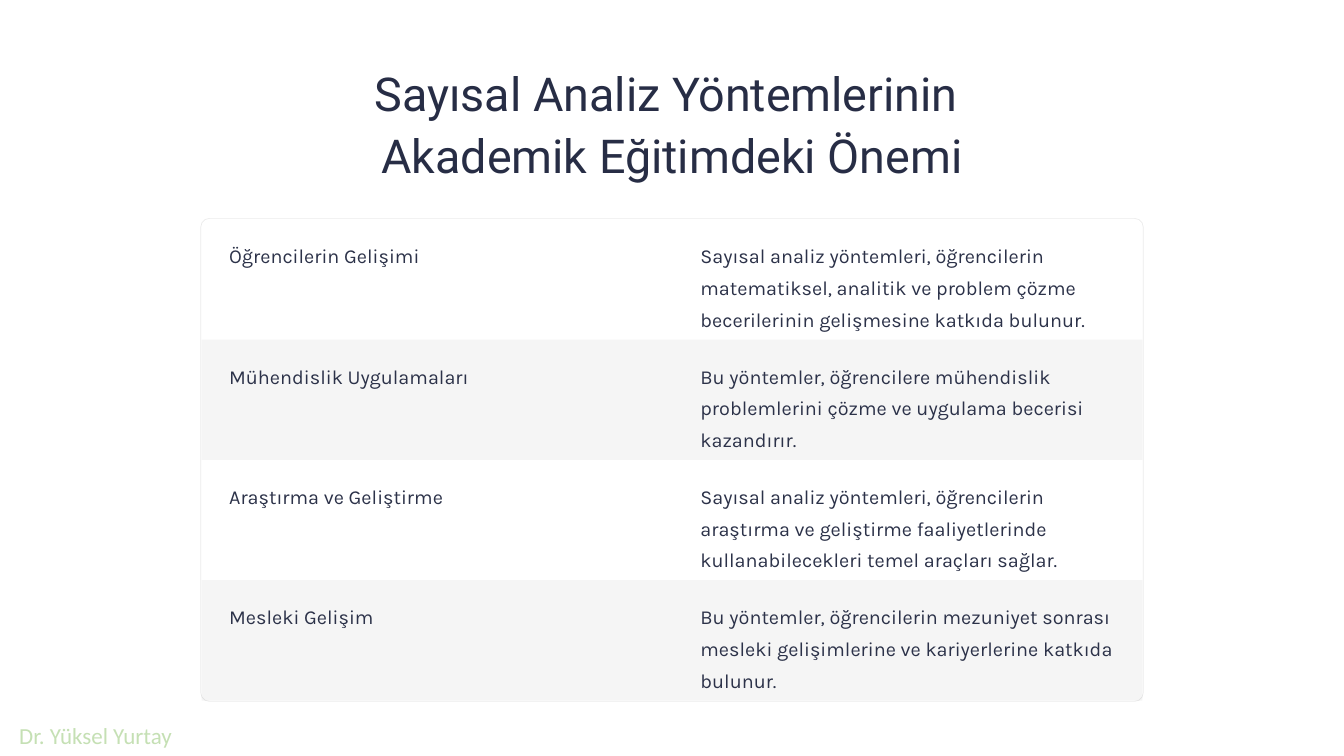
import pptx
import pptx.util
import pptx.dml.color
import pptx.enum.shapes
import pptx.enum.text
import pptx.oxml.ns
import lxml.etree

Inches = pptx.util.Inches
Pt = pptx.util.Pt
shapes = pptx.enum.shapes.MSO_SHAPE
align = pptx.enum.text.PP_ALIGN

deck = pptx.Presentation()
deck.slide_width, deck.slide_height = Inches(16), Inches(9)
page = deck.slides.add_slide(deck.slide_layouts[6])


def paint(color_format, color, opacity=100):
    color_format.rgb = pptx.dml.color.RGBColor.from_string(color)
    if opacity < 100:
        for node in color_format._xFill.iter(pptx.oxml.ns.qn("a:srgbClr")):
            alpha = lxml.etree.SubElement(node, pptx.oxml.ns.qn("a:alpha"))
            alpha.set("val", str(opacity * 1000))


def write(text, left, top, width, height, size=17, font="Karla",
          color="2C3249", spacing=27.2, alignment=align.LEFT):
    box = page.shapes.add_textbox(Inches(left), Inches(top), Inches(width), Inches(height))
    box.text_frame.word_wrap = True
    box.text_frame.text = text
    for para in box.text_frame.paragraphs:
        para.alignment = alignment
        para.line_spacing = Pt(spacing)
        for span in para.runs:
            span.font.name = font
            span.font.size = Pt(size)
            paint(span.font.color, color)


backdrop = page.shapes.add_shape(shapes.RECTANGLE, 0, 0, deck.slide_width, deck.slide_height)
backdrop.shadow.inherit = False
backdrop.fill.solid()
paint(backdrop.fill.fore_color, "FFFFFF")
backdrop.line.fill.background()

write("Sayısal Analiz Yöntemlerinin \nAkademik Eğitimdeki Önemi", 2.39, 0.65, 11.22, 1.48,
      size=40, font="Roboto", color="272D45", spacing=53.1, alignment=align.CENTER)

frame = page.shapes.add_shape(shapes.ROUNDED_RECTANGLE,
                              Inches(2.39), Inches(2.6), Inches(11.22), Inches(5.75))
frame.adjustments[0] = 0.018
frame.shadow.inherit = False
frame.fill.background()
frame.line.width = Pt(0.6)
frame.line.fill.solid()
paint(frame.line.fill.fore_color, "000000", 8)

topics = [
    ("Öğrencilerin Gelişimi",
     "Sayısal analiz yöntemleri, öğrencilerin matematiksel, analitik ve problem çözme "
     "becerilerinin gelişmesine katkıda bulunur."),
    ("Mühendislik Uygulamaları",
     "Bu yöntemler, öğrencilere mühendislik problemlerini çözme ve uygulama becerisi "
     "kazandırır."),
    ("Araştırma ve Geliştirme",
     "Sayısal analiz yöntemleri, öğrencilerin araştırma ve geliştirme faaliyetlerinde "
     "kullanabilecekleri temel araçları sağlar."),
    ("Mesleki Gelişim",
     "Bu yöntemler, öğrencilerin mezuniyet sonrası mesleki gelişimlerine ve kariyerlerine "
     "katkıda bulunur."),
]
table_left, table_top, table_width = 2.4, 2.61, 11.2
row_height = 5.73 / len(topics)
margin_left, margin_top = 0.23, 0.15
column_width = 5.13

for row, (topic, detail) in enumerate(topics):
    top = table_top + row * row_height
    band = page.shapes.add_shape(shapes.RECTANGLE, Inches(table_left), Inches(top),
                                 Inches(table_width), Inches(row_height))
    band.shadow.inherit = False
    band.fill.solid()
    paint(band.fill.fore_color, "000000" if row % 2 else "FFFFFF", 4)
    band.line.fill.background()
    write(topic, table_left + margin_left, top + margin_top, column_width, 0.38)
    write(detail, table_left + table_width - margin_left - column_width, top + margin_top,
          column_width, 1.13)

write("Dr. Yüksel Yurtay", 0.13, 8.49, 2.31, 0.38,
      size=19.7, font="Calibri", color="C5E0B4", spacing=27.6)

deck.save("out.pptx")
